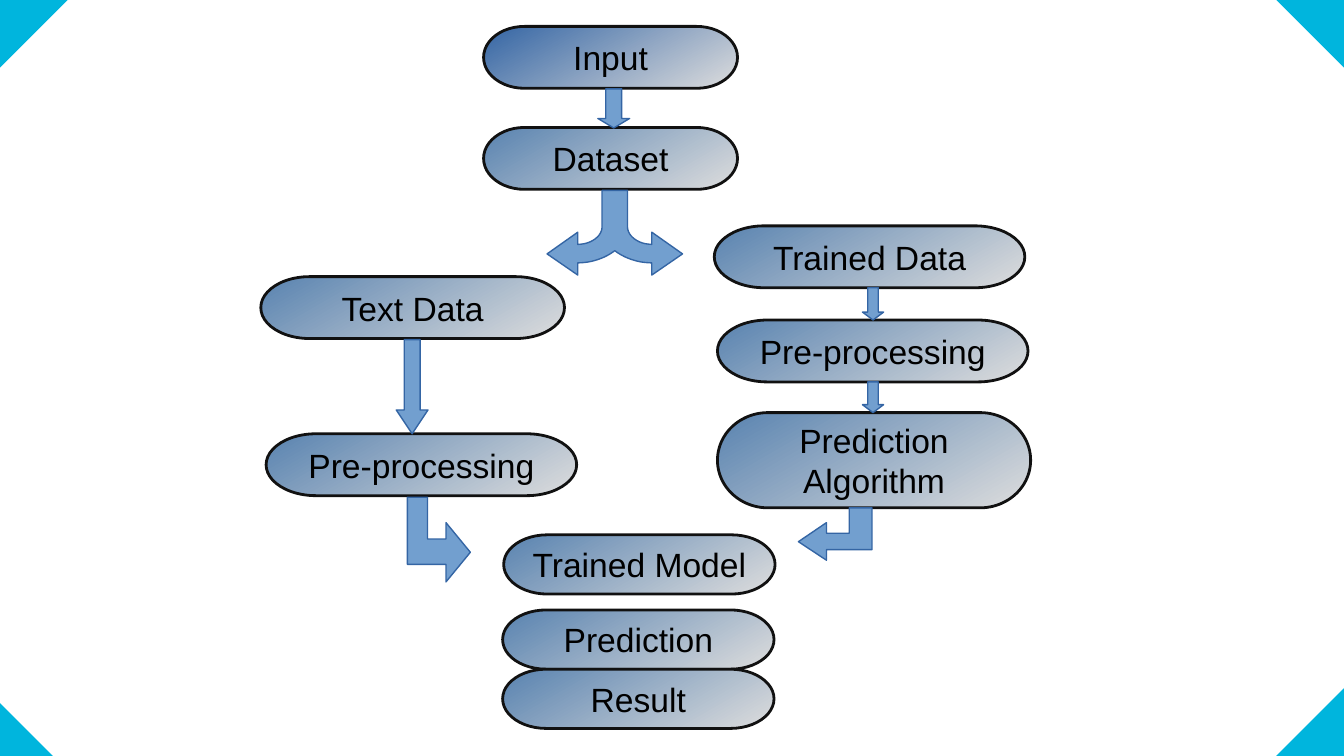
from dataclasses import dataclass

from pptx import Presentation
from pptx.dml.color import RGBColor
from pptx.enum.shapes import MSO_SHAPE as Shape
from pptx.enum.text import MSO_ANCHOR as Anchor, PP_ALIGN as Align
from pptx.util import Cm, Pt

CYAN = RGBColor(0x00, 0xB5, 0xDD)
ROYAL = RGBColor(0x34, 0x65, 0xA4)
STEEL = RGBColor(0x59, 0x83, 0xB0)
SKY = RGBColor(0x72, 0x9F, 0xCF)
SILVER = RGBColor(0xDD, 0xDD, 0xDD)
INK = RGBColor(0x11, 0x11, 0x11)
BLACK = RGBColor(0x00, 0x00, 0x00)

WIDTH, HEIGHT = 25.4, 14.29
FRAME = dict(
    word_wrap=True, vertical_anchor=Anchor.MIDDLE,
    margin_left=Cm(0.28), margin_right=Cm(0.28),
    margin_top=Cm(0.15), margin_bottom=Cm(0.15),
)
FONT = dict(name="Arial", size=Pt(18))
Points = list[tuple[float, float]]


@dataclass
class Step:
    text: str
    left: float
    top: float
    width: float
    height: float = 1.17
    start: RGBColor = STEEL


@dataclass
class DownArrow:
    left: float
    top: float
    width: float
    height: float
    head: float


@dataclass
class Corner:
    left: float
    top: float
    size: float
    rotation: int


CORNERS = [
    Corner(WIDTH - 1.28, HEIGHT - 1.28, 1.28, 270),
    Corner(0, 0, 1.28, 90),
    Corner(WIDTH - 1.28, 0, 1.28, 180),
    Corner(0, HEIGHT - 1, 1, 0),
]
STEPS = [
    Step("Input", 9.14, 0.5, 4.8, start=ROYAL),
    Step("Dataset", 9.14, 2.41, 4.8),
    Step("Text Data", 4.93, 5.23, 5.74),
    Step("Pre-processing", 5.03, 8.2, 5.87),
    Step("Trained Data", 13.5, 4.27, 5.87),
    Step("Pre-processing", 13.56, 6.05, 5.87),
    Step("Prediction Algorithm", 13.56, 7.8, 5.92, 1.8),
    Step("Trained Model", 9.52, 10.11, 5.13, 1.12),
    Step("Prediction", 9.5, 11.53, 5.13, 1.12),
    Step("Result", 9.5, 12.65, 5.13, 1.12),
]
DOWN_ARROWS = [
    DownArrow(11.3, 1.68, 0.6, 0.74, 0.18),
    DownArrow(7.49, 6.42, 0.6, 1.78, 0.45),
    DownArrow(16.3, 5.44, 0.4, 0.61, 0.15),
    DownArrow(16.3, 7.22, 0.4, 0.58, 0.15),
]
BENT_ARROWS = [
    [(15.62, 9.88), (15.62, 10.08), (16.05, 10.08), (16.05, 9.6), (16.48, 9.6),
     (16.48, 10.39), (15.62, 10.39), (15.62, 10.59), (15.09, 10.24)],
    [(8.43, 9.88), (8.43, 10.19), (8.08, 10.19), (8.08, 9.4), (7.7, 9.4),
     (7.7, 10.67), (8.43, 10.67), (8.43, 11), (8.89, 10.44)],
]


def apply(target, values: dict) -> None:
    for name, value in values.items():
        setattr(target, name, value)


def add_preset(s, kind, left: float, top: float, width: float, height: float):
    sp = s.shapes.add_shape(kind, Cm(left), Cm(top), Cm(width), Cm(height))
    sp.shadow.inherit = False
    return sp


def add_corner(s, corner: Corner) -> None:
    sp = add_preset(s, Shape.RIGHT_TRIANGLE, corner.left, corner.top, corner.size, corner.size)
    sp.rotation = corner.rotation
    sp.fill.solid()
    sp.fill.fore_color.rgb = CYAN
    sp.line.fill.background()


def add_step(s, step: Step) -> None:
    sp = add_preset(s, Shape.FLOWCHART_TERMINATOR, step.left, step.top, step.width, step.height)
    sp.fill.gradient()
    sp.fill.gradient_angle = 300
    for stop, color in zip(sp.fill.gradient_stops, (step.start, SILVER)):
        stop.color.rgb = color
    sp.line.color.rgb = INK
    sp.line.width = Pt(1.5)
    tf = sp.text_frame
    apply(tf, FRAME)
    p = tf.paragraphs[0]
    p.alignment = Align.CENTER
    r = p.add_run()
    r.text = step.text
    apply(r.font, FONT)
    r.font.color.rgb = BLACK


def paint_arrow(sp) -> None:
    sp.shadow.inherit = False
    sp.fill.solid()
    sp.fill.fore_color.rgb = SKY
    sp.line.color.rgb = ROYAL
    sp.line.width = Pt(0)


def add_down_arrow(s, arrow: DownArrow) -> None:
    sp = add_preset(s, Shape.DOWN_ARROW, arrow.left, arrow.top, arrow.width, arrow.height)
    sp.adjustments[0] = 0.5
    sp.adjustments[1] = arrow.head / arrow.width
    paint_arrow(sp)


def add_outline_arrow(s, points: Points) -> None:
    first, *rest = [(Cm(x), Cm(y)) for x, y in points]
    builder = s.shapes.build_freeform(*first)
    builder.add_line_segments(rest, close=True)
    paint_arrow(builder.convert_to_shape())


def curve(a, b, c, d, count: int = 12) -> Points:
    points = []
    for i in range(count + 1):
        t = i / count
        u = 1 - t
        weights = (u**3, 3 * u * u * t, 3 * u * t * t, t**3)
        points.append(tuple(
            sum(w * v for w, v in zip(weights, axis)) for axis in zip(a, b, c, d)
        ))
    return points


def fork_points(center: float, top: float) -> Points:
    half = [
        (0.24, 0),
        *curve((0.24, 0.69), (0.24, 0.86), (0.44, 1.02), (0.7, 1.02)),
        (0.7, 0.79), (1.28, 1.2), (0.7, 1.6),
        *curve((0.7, 1.37), (0.42, 1.37), (0.17, 1.27), (0, 1.14)),
    ]
    right = [(center + x, top + y) for x, y in half]
    left = [(center - x, top + y) for x, y in reversed(half[:-1])]
    return right + left


def main() -> None:
    prs = Presentation()
    prs.slide_width, prs.slide_height = Cm(WIDTH), Cm(HEIGHT)
    s = prs.slides.add_slide(prs.slide_layouts[6])
    for corner in CORNERS:
        add_corner(s, corner)
    for step in STEPS:
        add_step(s, step)
    for arrow in DOWN_ARROWS:
        add_down_arrow(s, arrow)
    for points in [fork_points(11.62, 3.6), *BENT_ARROWS]:
        add_outline_arrow(s, points)
    prs.save("out.pptx")


if __name__ == "__main__":
    main()
